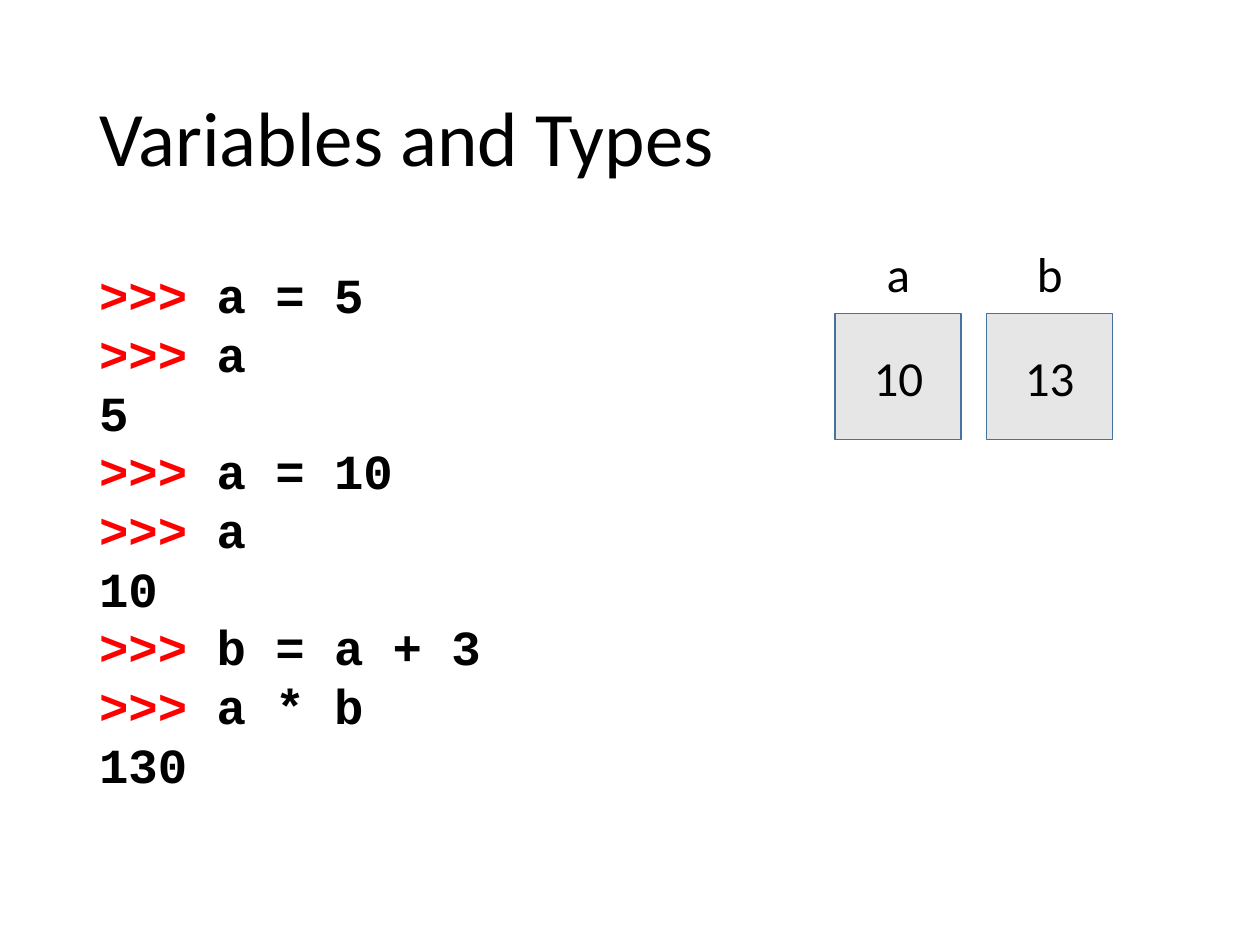
from dataclasses import dataclass

from pptx import Presentation
from pptx import util as u
from pptx.dml.color import RGBColor
from pptx.enum import shapes, text


@dataclass(frozen=True)
class Theme:
    """Colours, fonts and type sizes of the slide."""
    ink: str = "000000"
    prompt: str = "FF0000"
    box_fill: str = "E7E6E6"
    box_line: str = "43739E"
    body_font: str = "Calibri"
    code_font: str = "Courier New"
    title_size: int = 44
    text_size: int = 28
    code_pitch: float = 33.55


THEME = Theme()
PROMPT = ">>>"
SESSION = [
    ">>> a = 5", ">>> a", "5",
    ">>> a = 10", ">>> a", "10",
    ">>> b = a + 3", ">>> a * b", "130",
]
VARIABLES = [("a", "10"), ("b", "13")]


def format_run(run, size, font=THEME.body_font, color=THEME.ink, bold=False):
    """Apply font, size, colour and weight to a run."""
    run.font.name = font
    run.font.size = u.Pt(size)
    run.font.bold = bold
    run.font.color.rgb = RGBColor.from_string(color)


def add_text_box(slide, left, top, width, height):
    """Add an empty wrapping text box, in centimetres, and return its frame."""
    shape = slide.shapes.add_textbox(*map(u.Cm, (left, top, width, height)))
    shape.text_frame.word_wrap = True
    return shape.text_frame


def write_line(frame, content, size, alignment):
    """Fill a frame with one vertically centred line."""
    frame.text = content
    frame.vertical_anchor = text.MSO_ANCHOR.MIDDLE
    paragraph = frame.paragraphs[0]
    paragraph.alignment = alignment
    format_run(paragraph.runs[0], size)
    return paragraph


def add_title(slide, left, top, width, height):
    """Place the slide title."""
    frame = add_text_box(slide, left, top, width, height)
    paragraph = write_line(frame, "Variables and Types", THEME.title_size, text.PP_ALIGN.LEFT)
    paragraph.line_spacing = 0.9


def add_session(slide, left, top, width, height):
    """Place the interpreter session with coloured prompts."""
    frame = add_text_box(slide, left, top, width, height)
    frame.margin_top = u.Cm(0.27)
    for index, line in enumerate(SESSION):
        paragraph = frame.add_paragraph() if index else frame.paragraphs[0]
        paragraph.line_spacing = u.Pt(THEME.code_pitch)
        prompt = PROMPT if line.startswith(PROMPT) else ""
        parts = [(prompt, THEME.prompt), (line.removeprefix(prompt), THEME.ink)]
        for content, color in parts:
            if content:
                run = paragraph.add_run()
                run.text = content
                format_run(run, THEME.text_size, THEME.code_font, color, bold=True)


def add_variable(slide, left, top, side, label_height, name, value):
    """Place a variable name above the box that holds its value."""
    label = add_text_box(slide, left, top, side, label_height)
    write_line(label, name, THEME.text_size, text.PP_ALIGN.CENTER)
    box = slide.shapes.add_shape(
        shapes.MSO_SHAPE.RECTANGLE, *map(u.Cm, (left, top + label_height, side, side)))
    box.shadow.inherit = False
    box.fill.solid()
    box.fill.fore_color.rgb = RGBColor.from_string(THEME.box_fill)
    box.line.color.rgb = RGBColor.from_string(THEME.box_line)
    box.line.width = u.Pt(1)
    write_line(box.text_frame, value, THEME.text_size, text.PP_ALIGN.CENTER)


def add_memory(slide, left, top, side, gap, label_height):
    """Place the variables side by side."""
    for index, (name, value) in enumerate(VARIABLES):
        add_variable(slide, left + index * (side + gap), top, side, label_height, name, value)


def main():
    """Build and save the slide."""
    presentation = Presentation()
    presentation.slide_width, presentation.slide_height = u.Cm(25.4), u.Cm(19.05)
    slide = presentation.slides.add_slide(presentation.slide_layouts[6])
    add_title(slide, 1.75, 1.01, 21.9, 3.68)
    add_session(slide, 1.75, 5.07, 21.9, 12.09)
    add_memory(slide, 16.84, 4.7, side=2.54, gap=0.51, label_height=1.62)
    presentation.save("out.pptx")


if __name__ == "__main__":
    main()
